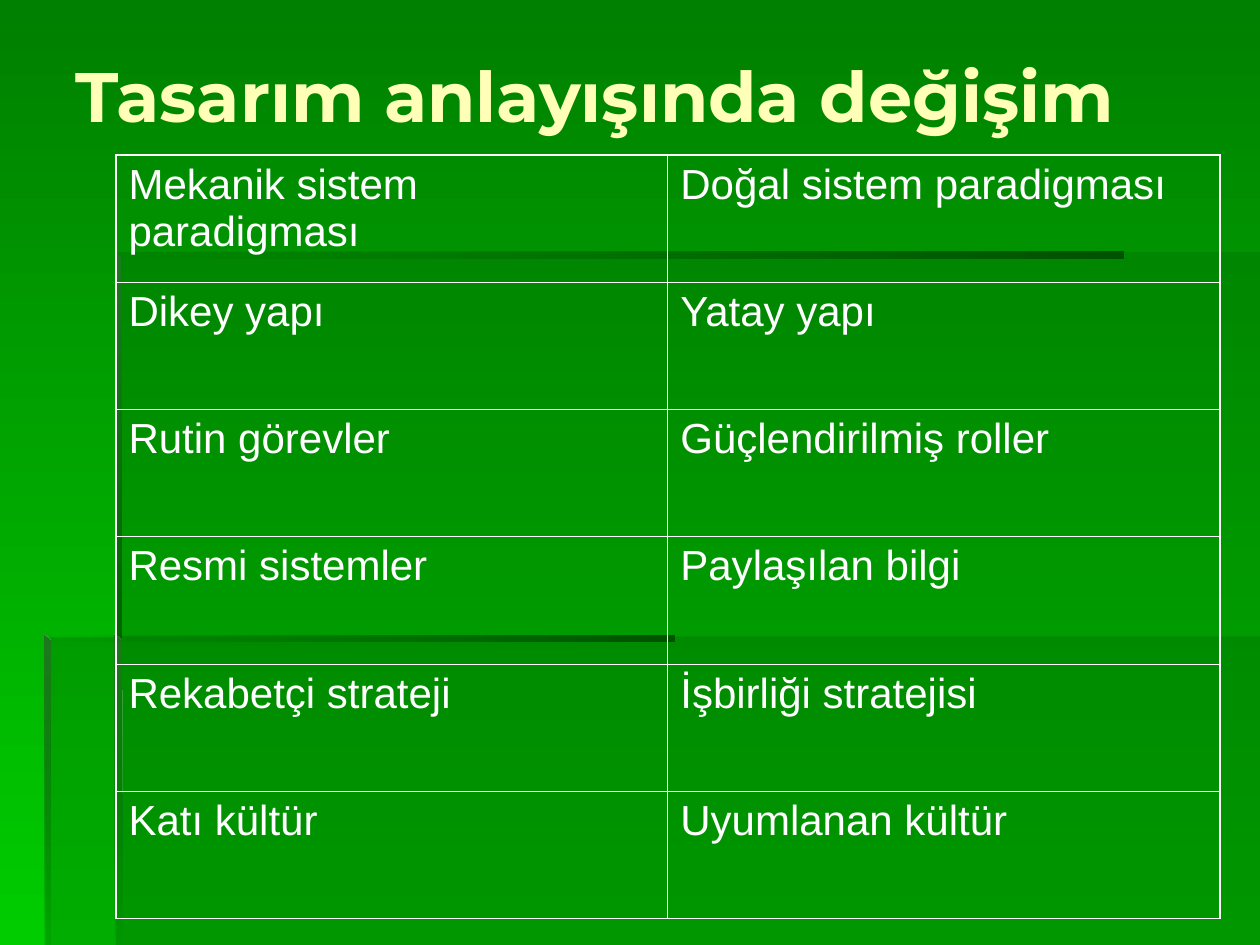
from dataclasses import dataclass

from lxml import etree
from pptx import Presentation
from pptx.dml.color import RGBColor
from pptx.enum.text import MSO_ANCHOR
from pptx.oxml import parse_xml
from pptx.oxml.ns import nsdecls, qn
from pptx.slide import Slide
from pptx.util import Inches, Pt

MIDDLE = MSO_ANCHOR.MIDDLE

WHITE = RGBColor(0xFF, 0xFF, 0xFF)
CREAM = RGBColor(0xFF, 0xFF, 0xB7)
GREEN = RGBColor(0x00, 0x80, 0x00)
BRIGHT_GREEN = RGBColor(0x00, 0xCC, 0x00)
PANEL_GREEN = RGBColor(0x00, 0x66, 0x00)
DARK_GREEN = RGBColor(0x00, 0x53, 0x00)
EDGE_GREEN = RGBColor(0x1E, 0x78, 0x1E)

DOWN, LEFTWARD = 90, 180
THIN, THICK = Pt(0.45), Pt(1.08)


@dataclass(frozen=True)
class Stop:
    color: RGBColor
    opacity: int = 100


@dataclass(frozen=True)
class Outline:
    points: tuple[tuple[float, float], ...]
    stops: tuple[Stop, ...]
    angle: int = DOWN


PANEL = (Stop(PANEL_GREEN, 30),)
HORIZONTAL_EDGE = (Stop(DARK_GREEN), Stop(PANEL_GREEN, 0))


def vertical_edge(end_opacity: int) -> tuple[Stop, Stop]:
    return Stop(EDGE_GREEN), Stop(PANEL_GREEN, end_opacity)


def box(left: float, top: float, right: float, bottom: float) -> tuple[tuple[float, float], ...]:
    return (left, top), (left, bottom), (right, bottom), (right, top)


# Background decoration, from back to front
OUTLINES = (
    Outline(box(0.92, 5.05, 10, 7.5), PANEL),
    Outline(((0.94, 5.06), (0.36, 5.06), (0.36, 7.5), (10, 7.5), (10, 2), (0.94, 2)), PANEL),
    Outline(box(0.92, 2, 8.92, 2.05), HORIZONTAL_EDGE, LEFTWARD),
    Outline(((0.92, 2), (0.92, 5.1), (0.97, 5.1), (0.96, 2.04)), vertical_edge(100)),
    Outline(((0.91, 7.5), (0.97, 7.5), (0.96, 5.08), (0.91, 5.04)), vertical_edge(0)),
    Outline(box(0.35, 5.04, 5.35, 5.09), HORIZONTAL_EDGE, LEFTWARD),
    Outline(((0.35, 5.04), (0.35, 7.5), (0.4, 7.5), (0.4, 5.09)), vertical_edge(10)),
)

TITLE = "Tasarım anlayışında değişim"
PARADIGMS = (
    ("Mekanik sistem paradigması", "Doğal sistem paradigması"),
    ("Dikey yapı", "Yatay yapı"),
    ("Rutin görevler", "Güçlendirilmiş roller"),
    ("Resmi sistemler", "Paylaşılan bilgi"),
    ("Rekabetçi strateji", "İşbirliği stratejisi"),
    ("Katı kültür", "Uyumlanan kültür"),
)
COLUMN_WIDTH, ROW_HEIGHT = 4.38, 1.01


def color_xml(stop: Stop) -> str:
    return f'<a:srgbClr val="{stop.color}"><a:alpha val="{stop.opacity * 1000}"/></a:srgbClr>'


def replace_fill(solid_fill: etree._Element, stops: tuple[Stop, ...], angle: int) -> None:
    """Swap a solid fill for a translucent colour or a linear gradient."""
    if len(stops) == 1:
        xml = f'<a:solidFill {nsdecls("a")}>{color_xml(stops[0])}</a:solidFill>'
    else:
        first, last = stops
        xml = (
            f'<a:gradFill {nsdecls("a")} rotWithShape="1"><a:gsLst>'
            f'<a:gs pos="0">{color_xml(first)}</a:gs>'
            f'<a:gs pos="100000">{color_xml(last)}</a:gs>'
            f'</a:gsLst><a:lin ang="{angle * 60000}" scaled="0"/></a:gradFill>'
        )
    solid_fill.getparent().replace(solid_fill, parse_xml(xml))


def paint_background(slide: Slide) -> None:
    slide.background.fill.solid()
    solid_fill = slide._element.xpath(".//p:bgPr/a:solidFill")[0]
    replace_fill(solid_fill, (Stop(GREEN), Stop(BRIGHT_GREEN)), DOWN)


def draw_outline(slide: Slide, outline: Outline) -> None:
    start, *rest = [(Inches(x), Inches(y)) for x, y in outline.points]
    builder = slide.shapes.build_freeform(*start)
    builder.add_line_segments(rest, close=True)
    shape = builder.convert_to_shape()
    shape.shadow.inherit = False
    shape.line.fill.background()
    shape.fill.solid()
    solid_fill = shape._element.xpath("./p:spPr/a:solidFill")[0]
    replace_fill(solid_fill, outline.stops, outline.angle)


def add_text(paragraph, text: str, font: str, size: int, color: RGBColor, bold: bool) -> None:
    run = paragraph.add_run()
    run.text = text
    run.font.name = font
    run.font.size = Pt(size)
    run.font.color.rgb = color
    run.font.bold = bold


def draw_title(slide: Slide) -> None:
    shape = slide.shapes.add_textbox(Inches(0.5), Inches(0.27), Inches(9.17), Inches(0.96))
    frame = shape.text_frame
    frame.word_wrap = True
    frame.vertical_anchor = MIDDLE
    add_text(frame.paragraphs[0], TITLE, "Montserrat", 40, CREAM, True)


def set_borders(cell, widths: dict[str, int]) -> None:
    properties = cell._tc.get_or_add_tcPr()
    for position, (side, width) in enumerate(widths.items()):
        line = etree.Element(qn(f"a:{side}"), w=str(width))
        fill = etree.SubElement(line, qn("a:solidFill"))
        etree.SubElement(fill, qn("a:srgbClr"), val=str(WHITE))
        properties.insert(position, line)


def draw_table(slide: Slide) -> None:
    row_count, column_count = len(PARADIGMS), len(PARADIGMS[0])
    table = slide.shapes.add_table(
        row_count, column_count, Inches(0.92), Inches(1.23),
        Inches(COLUMN_WIDTH * column_count), Inches(ROW_HEIGHT * row_count),
    ).table
    table.first_row = False
    table.horz_banding = False
    for column in table.columns:
        column.width = Inches(COLUMN_WIDTH)
    for row in table.rows:
        row.height = Inches(ROW_HEIGHT)

    for row_index, texts in enumerate(PARADIGMS):
        for column_index, text in enumerate(texts):
            cell = table.cell(row_index, column_index)
            cell.fill.background()
            paragraph = cell.text_frame.paragraphs[0]
            paragraph.space_before = Pt(6)
            add_text(paragraph, text, "Arial", 24, WHITE, False)
            # Outer edges are thicker than the inner grid
            set_borders(cell, {
                "lnL": THICK if column_index == 0 else THIN,
                "lnR": THICK if column_index == column_count - 1 else THIN,
                "lnT": THICK if row_index == 0 else THIN,
                "lnB": THICK if row_index == row_count - 1 else THIN,
            })


def main() -> None:
    presentation = Presentation()
    presentation.slide_width = Inches(10)
    presentation.slide_height = Inches(7.5)
    slide = presentation.slides.add_slide(presentation.slide_layouts[6])

    paint_background(slide)
    for outline in OUTLINES:
        draw_outline(slide, outline)
    draw_title(slide)
    draw_table(slide)
    presentation.save("out.pptx")


if __name__ == "__main__":
    main()
